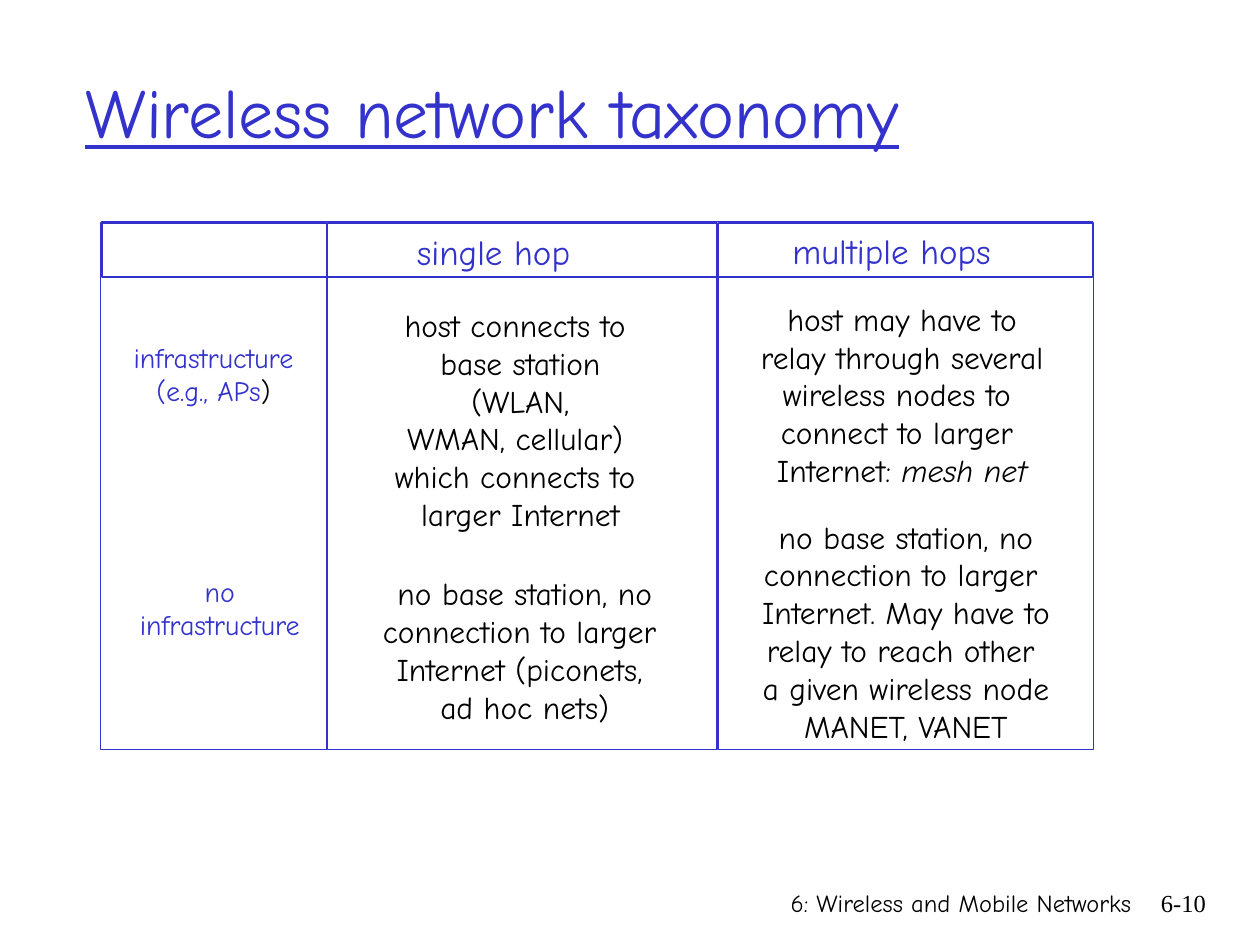
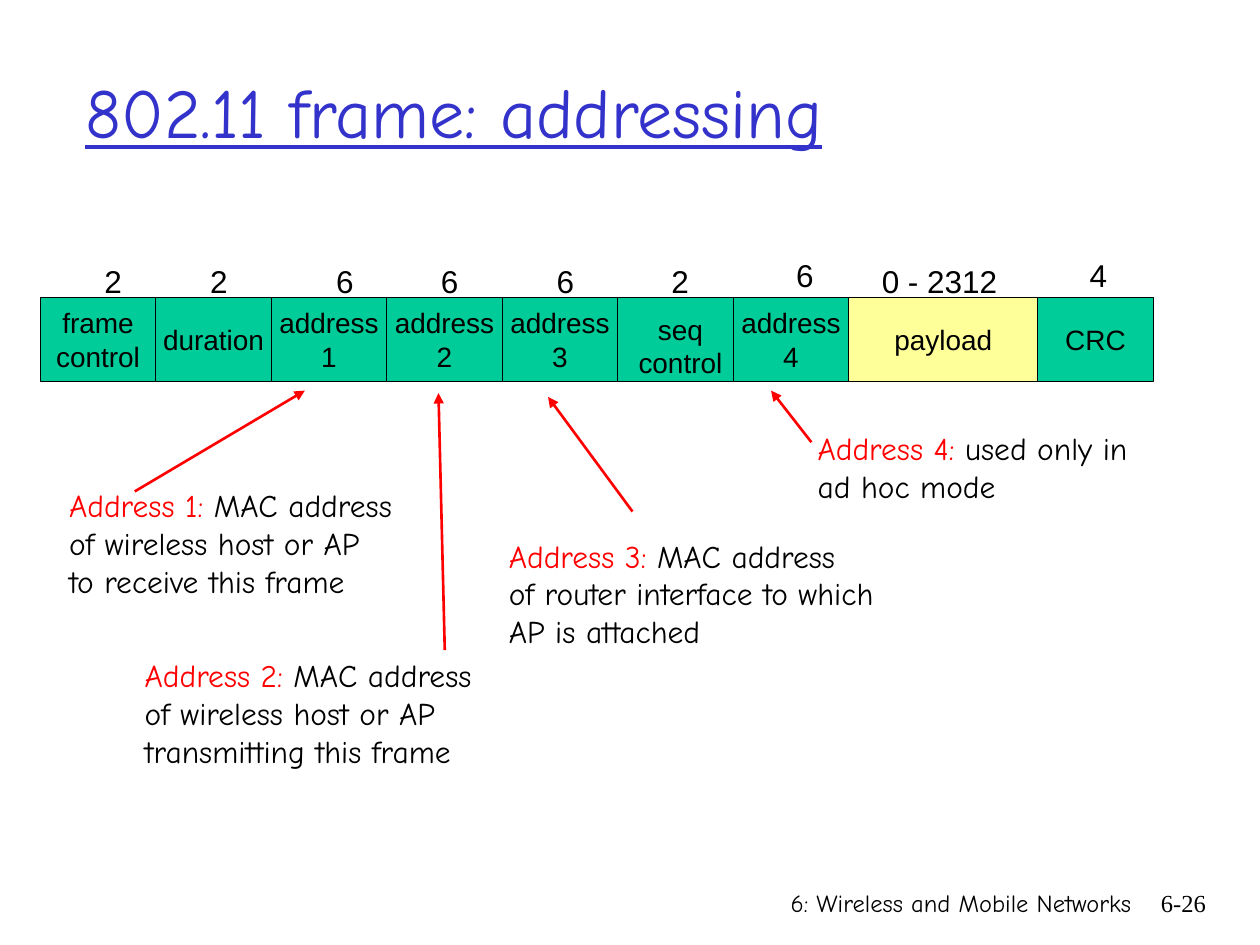
import pptx
import pptx.util
import pptx.dml.color
import pptx.enum.shapes
import pptx.enum.text
import pptx.oxml.ns
from lxml import etree

Inches = pptx.util.Inches
Pt = pptx.util.Pt
qn = pptx.oxml.ns.qn
ALIGN = pptx.enum.text.PP_ALIGN
ANCHOR = pptx.enum.text.MSO_ANCHOR
AUTO = pptx.enum.text.MSO_AUTO_SIZE
RECT = pptx.enum.shapes.MSO_SHAPE.RECTANGLE
STRAIGHT = pptx.enum.shapes.MSO_CONNECTOR.STRAIGHT

COLORS = {"blue": "3333CC", "black": "000000", "red": "FF0000",
          "green": "00CC99", "yellow": "FFFF99"}
HAND, SANS, SERIF = "Comic Neue", "Arial", "Times New Roman"


def rgb(name):
    return pptx.dml.color.RGBColor.from_string(COLORS[name])


def write(sp, paragraphs, size=18, font=HAND, color="black", align=ALIGN.LEFT,
          anchor=ANCHOR.TOP, wrap=False, grow=False, underline=None):
    """Each paragraph is a string or a list of (text, color, italic) runs."""
    tf = sp.text_frame
    tf.word_wrap = wrap
    tf.auto_size = AUTO.SHAPE_TO_FIT_TEXT if grow else AUTO.NONE
    tf.vertical_anchor = anchor
    for i, runs in enumerate(paragraphs):
        p = tf.paragraphs[0] if i == 0 else tf.add_paragraph()
        p.alignment = align
        if isinstance(runs, str):
            runs = [(runs, color, None)]
        for text, run_color, italic in runs:
            r = p.add_run()
            r.text = text
            r.font.size = Pt(size)
            r.font.name = font
            r.font.color.rgb = rgb(run_color)
            r.font.italic = italic
            r.font.underline = underline


def add_text(s, box, paragraphs, **style):
    sp = s.shapes.add_textbox(*map(Inches, box))
    write(sp, paragraphs, **style)


def add_label(s, box, paragraphs, **style):
    add_text(s, box, paragraphs, grow=True, **style)


def add_rect(s, box, line, fill=None):
    sp = s.shapes.add_shape(RECT, *map(Inches, box))
    sp.shadow.inherit = False
    sp.line.color.rgb = rgb(line)
    sp.line.width = Pt(0.75)
    if fill:
        sp.fill.solid()
        sp.fill.fore_color.rgb = rgb(fill)
    else:
        sp.fill.background()
    return sp


def add_arrow(s, start, end):
    c = s.shapes.add_connector(STRAIGHT, *map(Inches, start + end))
    c.line.color.rgb = rgb("red")
    c.line.width = Pt(1.5)
    properties = c.element.spPr
    etree.SubElement(properties.find(qn("a:ln")), qn("a:tailEnd"), type="triangle")
    etree.SubElement(properties, qn("a:effectLst"))


def new_slide(prs, title, number):
    s = prs.slides.add_slide(prs.slide_layouts[6])
    add_text(s, (4.86, 7, 4.22, 0.5), ["6: Wireless and Mobile Networks"],
             size=14, align=ALIGN.RIGHT, wrap=True)
    add_text(s, (8.93, 7, 0.74, 0.5), [number], size=14, font=SERIF,
             align=ALIGN.RIGHT, wrap=True)
    add_text(s, (0.58, 0.25, 8.5, 1.25), [title], size=40, color="blue",
             anchor=ANCHOR.MIDDLE, wrap=True, underline=True)
    return s


def taxonomy_slide(prs):
    s = new_slide(prs, "Wireless network taxonomy", "6-10")

    # Header row frame and the three column frames
    add_rect(s, (0.81, 1.76, 7.86, 0.44), "blue")
    for left, width in ((0.8, 1.79), (2.6, 3.09), (5.7, 2.98)):
        add_rect(s, (left, 1.77, width, 4.18), "blue")

    # Column headings
    add_label(s, (3.21, 1.78, 1.45, 0.44), ["single hop"], size=20, color="blue")
    add_label(s, (6.19, 1.77, 1.82, 0.44), ["multiple hops"], size=20, color="blue")

    # Row headings
    row_heads = [
        ((0.96, 2.65, 1.47, 0.64),
         ["infrastructure", [("(e.g., APs", "blue", None), (")", "black", None)]]),
        ((1.01, 4.51, 1.47, 0.64), ["no", "infrastructure"]),
    ]
    for box, lines in row_heads:
        add_label(s, box, lines, size=16, color="blue", align=ALIGN.CENTER)

    # Cell texts
    cells = [
        ((3.03, 2.38, 2.2, 1.6),
         ["host connects to ", "base station (WLAN,", "WMAN, cellular) ",
          "which connects to ", "larger Internet"]),
        ((2.93, 4.51, 2.47, 1.3),
         ["no base station, no", "connection to larger ",
          "Internet (piconets, ", "ad hoc nets)"]),
        ((5.93, 2.33, 2.46, 1.6),
         ["host may have to", "relay through several", "wireless nodes to ",
          "connect to larger ",
          [("Internet: ", "black", None), ("mesh net", "black", True)]]),
        ((5.94, 4.06, 2.5, 1.9),
         ["no base station, no", "connection to larger ", "Internet. May have to",
          "relay to reach other ", "a given wireless node", "MANET, VANET"]),
    ]
    for box, lines in cells:
        add_label(s, box, lines, align=ALIGN.CENTER)


def addressing_slide(prs):
    s = new_slide(prs, "802.11 frame: addressing", "6-26")

    # Frame fields, laid end to end
    field_width, payload_width = 11 / 12, 1.5
    fields = [["frame", "control"], ["duration"], ["address", "1"],
              ["address", "2"], ["address", "3"], [], ["address", "4"],
              ["payload"], ["CRC"]]
    left = 0.32
    for lines in fields:
        payload = lines == ["payload"]
        width = payload_width if payload else field_width
        sp = add_rect(s, (left, 2.36, width, 0.67), "black",
                      "yellow" if payload else "green")
        write(sp, lines, size=16, font=SANS, align=ALIGN.CENTER,
              anchor=ANCHOR.MIDDLE)
        left += width
    # The sequence control caption sits lower than its field's middle
    add_label(s, (4.94, 2.43, 0.92, 0.64), ["seq", "control"], size=16,
              font=SANS, align=ALIGN.CENTER)

    # Field lengths in bytes
    lengths = [("2", 0.73, 2.03), ("2", 1.57, 2.03), ("6", 2.57, 2.03),
               ("6", 3.4, 2.03), ("6", 4.32, 2.03), ("2", 5.23, 2.03),
               ("6", 6.22, 1.98), ("0 - 2312", 6.9, 2.03), ("4", 8.55, 1.98)]
    for text, x, y in lengths:
        width = 0.34 if len(text) == 1 else 1.2
        add_label(s, (x, y, width, 0.4), [text], font=SANS)

    # Address notes: name, box, wrap, first line, further lines, arrow ends
    notes = [
        ("Address 1:", (0.45, 3.81, 2.77, 1), False, " MAC address",
         ["of wireless host or AP", "to receive this frame"],
         (1.07, 3.9), (2.42, 3.1)),
        ("Address 2:", (1.05, 5.16, 2.8, 1), False, " MAC address",
         ["of wireless host or AP", "transmitting this frame"],
         (3.53, 5.16), (3.48, 3.12)),
        ("Address 3:", (3.94, 4.21, 3.34, 1), True, " MAC address",
         ["of router interface to which AP is attached"],
         (5.02, 4.06), (4.35, 3.15)),
        ("Address 4:", (6.39, 3.36, 2.85, 0.7), True,
         " used only in ad hoc mode", [], (6.44, 3.51), (6.12, 3.1)),
    ]
    for name, box, wrap, first, rest, start, end in notes:
        heading = [(name, "red", None), (first, "black", None)]
        add_label(s, box, [heading] + rest, wrap=wrap)
        add_arrow(s, start, end)


def main():
    prs = pptx.Presentation()
    prs.slide_width, prs.slide_height = Inches(10), Inches(7.5)
    taxonomy_slide(prs)
    addressing_slide(prs)
    prs.save("out.pptx")


if __name__ == "__main__":
    main()
